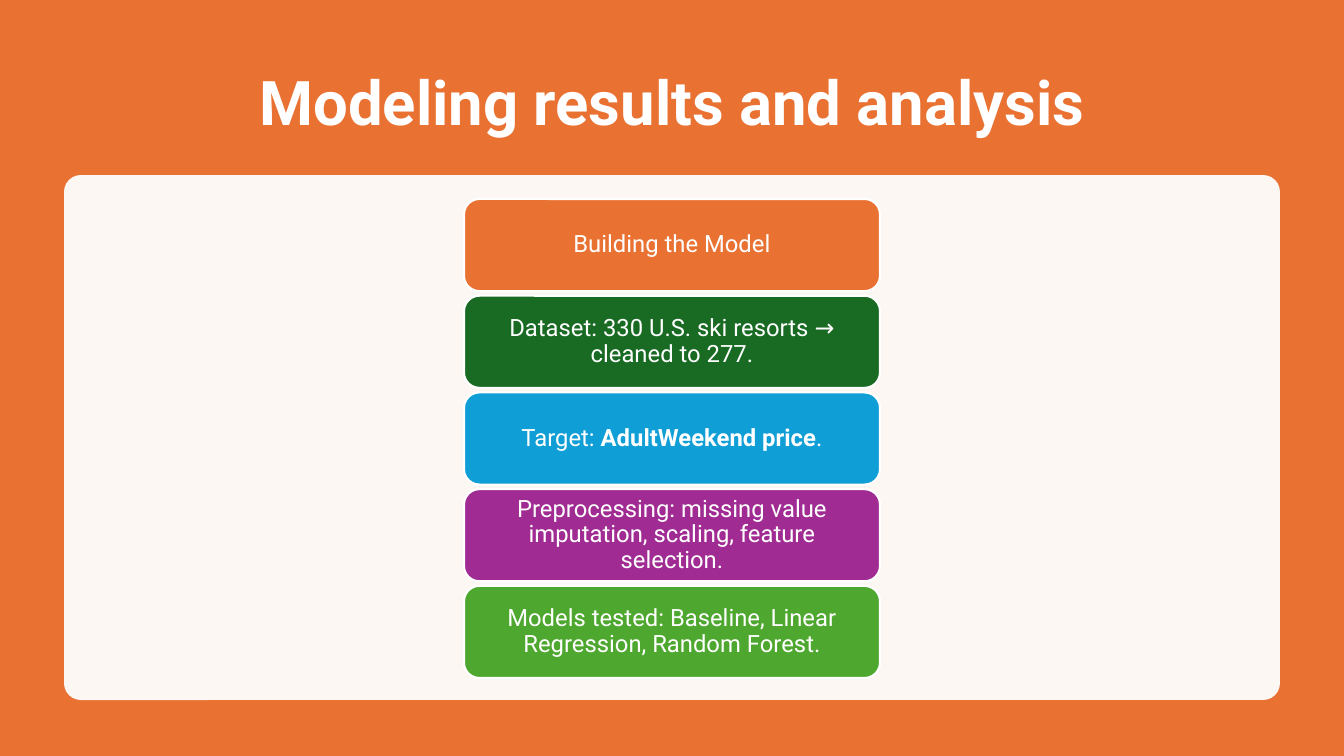
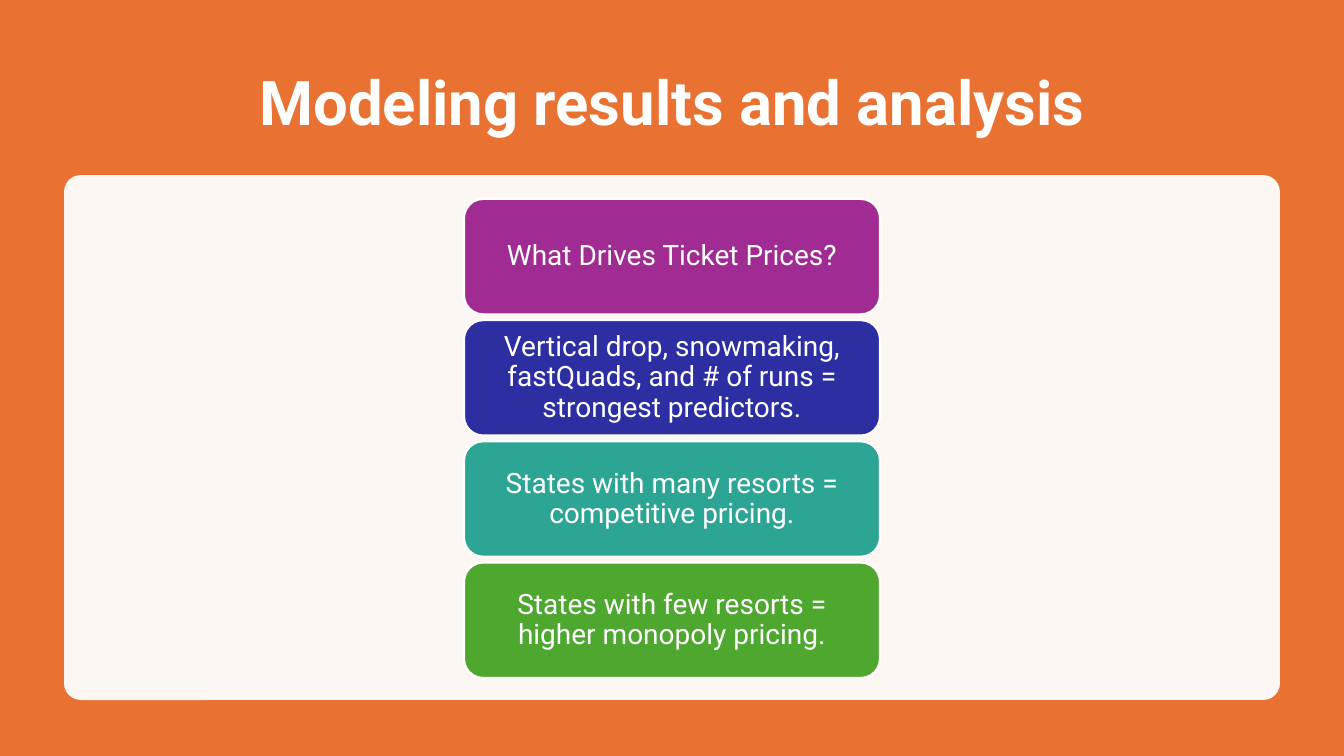
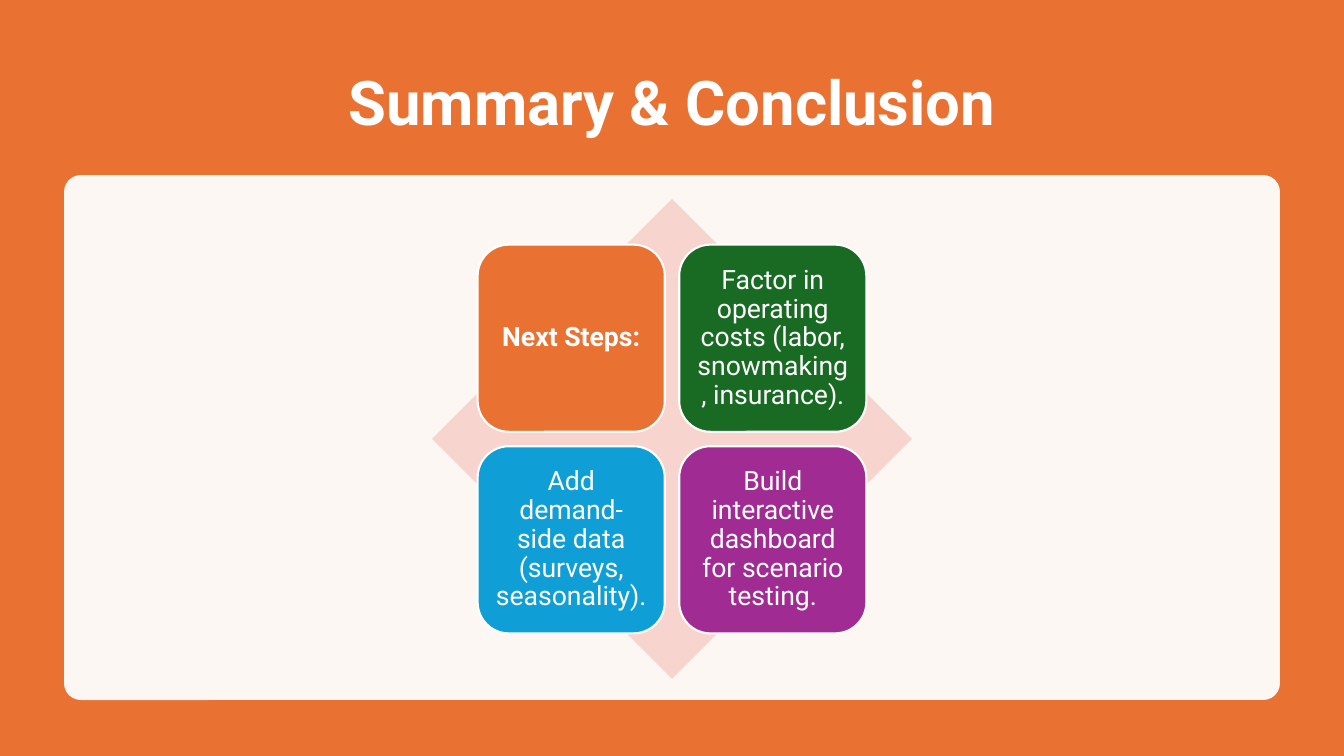
from dataclasses import dataclass
from lxml.etree import SubElement
from pptx import Presentation
from pptx.dml.color import RGBColor
from pptx.enum.shapes import MSO_SHAPE
from pptx.enum.text import MSO_ANCHOR, MSO_AUTO_SIZE, PP_ALIGN
from pptx.oxml.ns import qn
from pptx.util import Emu, Pt

WIDE, HIGH = 1344, 756
SCALE = 12192000 / WIDE


@dataclass(frozen=True)
class Theme:
    """Colours, font and type sizes of the deck."""
    font: str = "Roboto"
    white: str = "FFFFFF"
    orange: str = "E97132"
    forest: str = "196B24"
    blue: str = "0F9ED5"
    purple: str = "A02B93"
    green: str = "4EA72E"
    navy: str = "2C2EA2"
    teal: str = "2DA594"
    blush: str = "F7D5CE"
    title: int = 44
    small: int = 17
    mid: int = 19
    large: int = 20
    edge: float = 1.5


THEME = Theme()
TITLE = (93, 50, 1159, 111)
PANEL = (64, 175, 1216, 525)
STACK = (464, 199, 416, 479)
GRID = (432, 199, 480, 480)


def px(num):
    """Turn px into EMU."""
    return Emu(round(num * SCALE))


def style(frame, size, bold=False):
    """Centre the text of a frame and set the font of its runs."""
    frame.word_wrap = True
    frame.auto_size = MSO_AUTO_SIZE.NONE
    frame.vertical_anchor = MSO_ANCHOR.MIDDLE
    for para in frame.paragraphs:
        para.alignment = PP_ALIGN.CENTER
        para.line_spacing = 0.9
        for run in para.runs:
            font = run.font
            font.name, font.size = THEME.font, Pt(size)
            font.bold = bold or font.bold
            font.color.rgb = RGBColor.from_string(THEME.white)


def shape(slide, kind, box, fill, edge=0):
    """Add a flat filled shape, with a white edge if a width is given."""
    item = slide.shapes.add_shape(kind, *map(px, box))
    item.shadow.inherit = False
    item.fill.solid()
    item.fill.fore_color.rgb = RGBColor.from_string(fill)
    if edge:
        item.line.width = Pt(edge)
        item.line.color.rgb = RGBColor.from_string(THEME.white)
    else:
        item.line.fill.background()
    return item


def card(slide, box, fill, text, size, pad):
    """Add a rounded card; text between double stars is bold."""
    item = shape(slide, MSO_SHAPE.ROUNDED_RECTANGLE, box, fill, THEME.edge)
    frame = item.text_frame
    frame.margin_left = frame.margin_right = px(pad[0])
    frame.margin_top = frame.margin_bottom = px(pad[1])
    for num, part in enumerate(text.split("**")):
        if part:
            run = frame.paragraphs[0].add_run()
            run.text = part
            run.font.bold = num % 2 == 1
    style(frame, size)


def stack(slide, box, cards, size, pad):
    """Fill a box with equal cards from top to bottom."""
    left, top, wide, high = box
    gap = 0.05
    tall = high / (len(cards) + gap * (len(cards) - 1))
    for row, (fill, text) in enumerate(cards):
        spot = (left, top + row * tall * (1 + gap), wide, tall)
        card(slide, spot, fill, text, size, pad)


def grid(slide, box, cards, size, pad):
    """Place four square cards, two by two, on a diamond."""
    left, top, wide, _ = box
    shape(slide, MSO_SHAPE.DIAMOND, box, THEME.blush)
    side, step = wide * 0.39, wide * 0.42
    inset = (wide - side - step) / 2
    for num, (fill, text) in enumerate(cards):
        row, col = divmod(num, 2)
        spot = (left + inset + col * step, top + inset + row * step, side, side)
        card(slide, spot, fill, text, size, pad)


def page(deck, title):
    """Add a slide with its title and pale panel."""
    slide = deck.slides.add_slide(deck.slide_layouts[5])
    head = slide.shapes.title
    head.left, head.top, head.width, head.height = map(px, TITLE)
    head.text_frame.text = title
    style(head.text_frame, THEME.title, True)
    panel = shape(slide, MSO_SHAPE.ROUNDED_RECTANGLE, PANEL, THEME.white)
    panel.adjustments[0] = 0.032
    tint = panel.fill._xPr.find(qn("a:solidFill"))[0]
    SubElement(tint, qn("a:alpha"), val="95000")
    return slide


def main():
    """Build and save the deck."""
    deck = Presentation()
    deck.slide_width, deck.slide_height = px(WIDE), px(HIGH)
    back = deck.slide_master.background.fill
    back.solid()
    back.fore_color.rgb = RGBColor.from_string(THEME.orange)

    stack(page(deck, "Modeling results and analysis"), STACK, [
        (THEME.orange, "Building the Model"),
        (THEME.forest, "Dataset: 330 U.S. ski resorts → cleaned to 277."),
        (THEME.blue, "Target: **AdultWeekend price**."),
        (THEME.purple, "Preprocessing: missing value imputation, scaling, "
                       "feature selection."),
        (THEME.green, "Models tested: Baseline, Linear Regression, "
                      "Random Forest."),
    ], THEME.small, (7, 4))

    stack(page(deck, "Modeling results and analysis"), STACK, [
        (THEME.purple, "What Drives Ticket Prices?"),
        (THEME.navy, "Vertical drop, snowmaking, fastQuads, and # of runs = "
                     "strongest predictors."),
        (THEME.teal, "States with many resorts = competitive pricing."),
        (THEME.green, "States with few resorts = higher monopoly pricing."),
    ], THEME.large, (8, 4))

    grid(page(deck, "Summary & Conclusion"), GRID, [
        (THEME.orange, "**Next Steps:**"),
        (THEME.forest, "Factor in operating costs (labor, snowmaking, "
                       "insurance)."),
        (THEME.blue, "Add demand-side data (surveys, seasonality)."),
        (THEME.purple, "Build interactive dashboard for scenario testing."),
    ], THEME.mid, (8, 8))

    deck.save("out.pptx")


if __name__ == "__main__":
    main()
